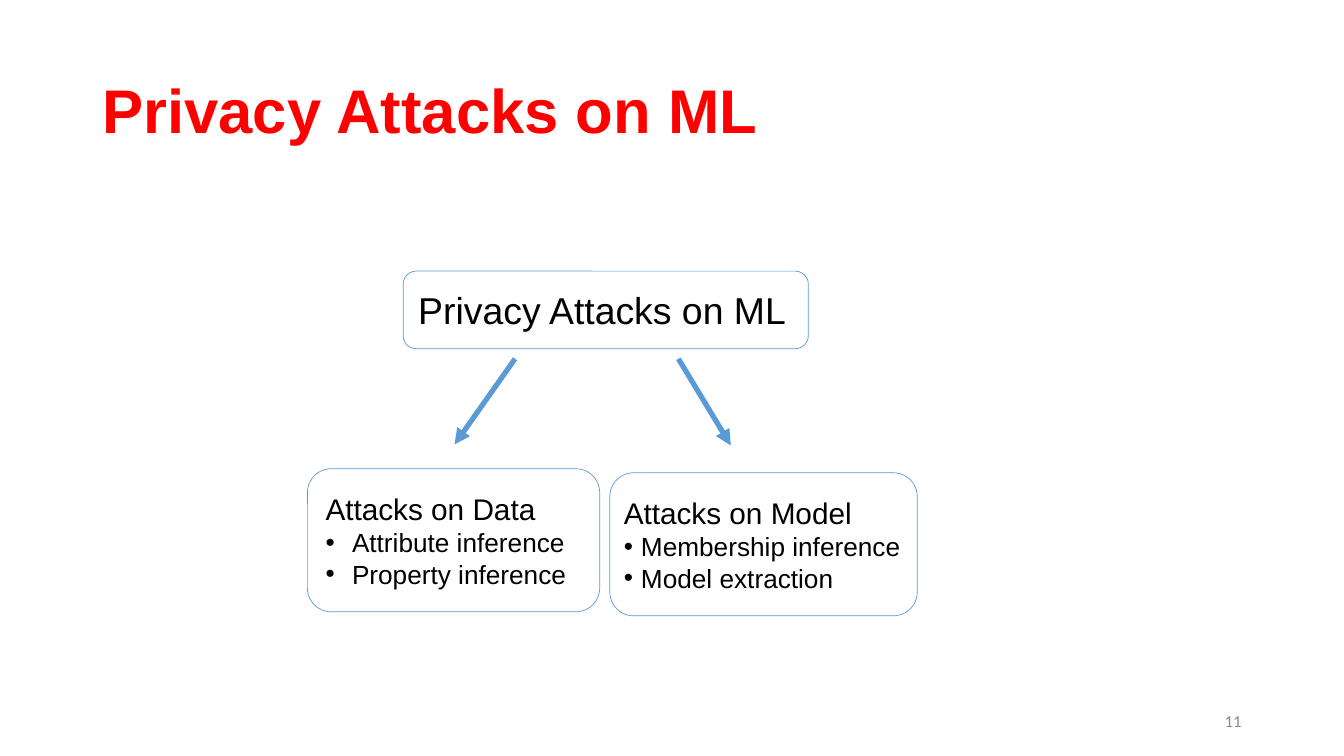
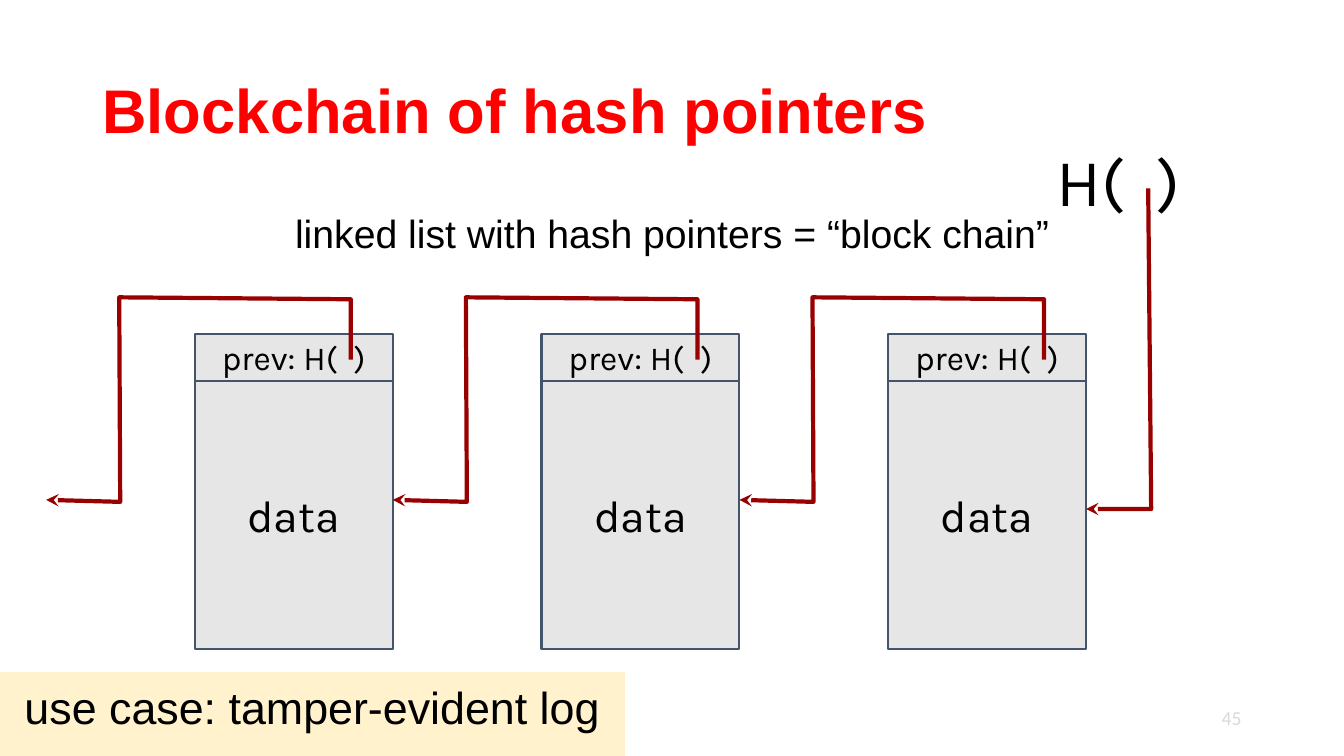
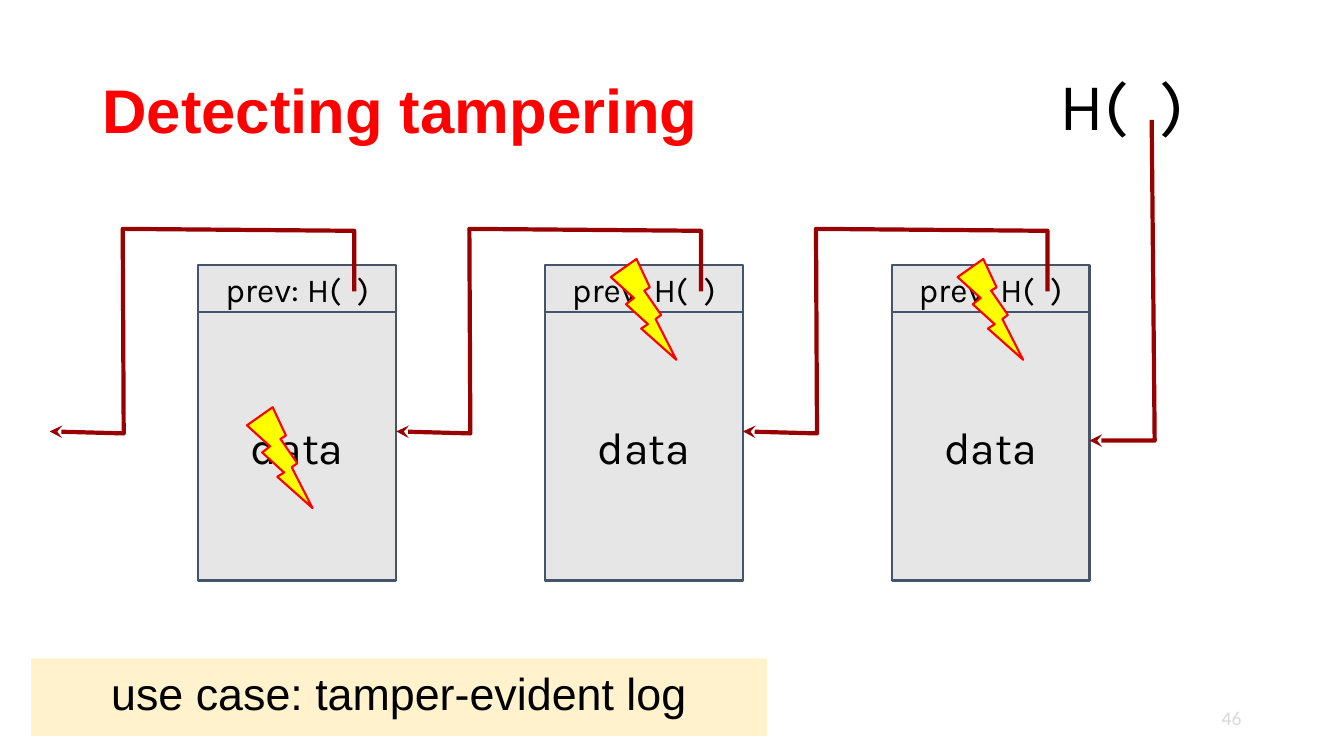
"""Build three slides on privacy attacks and hash-pointer block chains."""
from lxml import etree
from pptx import Presentation
from pptx.dml.color import RGBColor
from pptx.enum import shapes, text
from pptx.oxml import ns
from pptx.util import Pt

RED = RGBColor(0xFF, 0x00, 0x00)
BLACK = RGBColor(0x00, 0x00, 0x00)
GREY = RGBColor(0x8C, 0x8C, 0x8C)
PALE_GREY = RGBColor(0xD9, 0xD9, 0xD9)
BLUE = RGBColor(0x5B, 0x9B, 0xD5)
CREAM = RGBColor(0xFF, 0xF2, 0xCC)
BLOCK_FILL = RGBColor(0xE7, 0xE6, 0xE6)
BLOCK_LINE = RGBColor(0x44, 0x54, 0x6A)
DARK_RED = RGBColor(0x99, 0x00, 0x00)
YELLOW = RGBColor(0xFF, 0xFF, 0x00)

LEFT, CENTER, RIGHT = text.PP_ALIGN.LEFT, text.PP_ALIGN.CENTER, text.PP_ALIGN.RIGHT
TOP, MIDDLE = text.MSO_ANCHOR.TOP, text.MSO_ANCHOR.MIDDLE
RECTANGLE = shapes.MSO_SHAPE.RECTANGLE
INSET = 9.6
BLOCK_WIDTH, HEADER_HEIGHT, DATA_HEIGHT, BLOCK_PITCH = 141.4, 33.8, 191.5, 247.6


def write(frame, lines, font="Arial", color=BLACK, align=LEFT, anchor=TOP,
          insets=(INSET, INSET, INSET, INSET), hang=0, bold=False, spacing=None):
    """Fill a text frame with (text, size) lines, bulleting all but the first if hang is set."""
    frame.word_wrap = True
    frame.auto_size = text.MSO_AUTO_SIZE.NONE
    frame.vertical_anchor = anchor
    frame.margin_left, frame.margin_top, frame.margin_right, frame.margin_bottom = map(Pt, insets)
    for index, (words, size) in enumerate(lines):
        paragraph = frame.add_paragraph() if index else frame.paragraphs[0]
        paragraph.alignment = align
        if spacing:
            paragraph.line_spacing = spacing
        if index and hang:
            properties = paragraph._p.get_or_add_pPr()
            properties.set("marL", str(Pt(hang)))
            properties.set("indent", str(-Pt(hang)))
            etree.SubElement(properties, ns.qn("a:buFont")).set("typeface", "Arial")
            etree.SubElement(properties, ns.qn("a:buChar")).set("char", "•")
        run = paragraph.add_run()
        run.text = words
        run.font.name, run.font.size, run.font.bold = font, Pt(size), bold
        run.font.color.rgb = color


def outline(shape, color, width, arrow=None):
    """Set a line colour and width, an optional arrowhead at the end, and no shadow."""
    shape.line.color.rgb = color
    shape.line.width = Pt(width)
    properties = shape.element.spPr
    if arrow:
        etree.SubElement(properties.find(ns.qn("a:ln")), ns.qn("a:tailEnd")).set("type", arrow)
    etree.SubElement(properties, ns.qn("a:effectLst"))


deck = Presentation()
deck.slide_width, deck.slide_height = Pt(960), Pt(540)

slides = []
for title, number, number_size, number_color, number_anchor in (
    ("Privacy Attacks on ML", "11", 12, GREY, MIDDLE),
    ("Blockchain of hash pointers", "45", 14, PALE_GREY, TOP),
    ("Detecting tampering", "46", 14, PALE_GREY, TOP),
):
    slide = deck.slides.add_slide(deck.slide_layouts[5])
    heading = slide.shapes.title
    heading.left, heading.top, heading.width, heading.height = Pt(66), Pt(28.8), Pt(828), Pt(104.4)
    write(heading.text_frame, [(title, 44)], color=RED, anchor=MIDDLE,
          insets=(7.2, 3.6, 7.2, 3.6), bold=True, spacing=0.9)
    page = slide.shapes.add_textbox(Pt(678), Pt(500.5), Pt(216), Pt(28.8))
    write(page.text_frame, [(number, number_size)], "Calibri", number_color, RIGHT,
          number_anchor, (7.2, 3.6, 7.2, 3.6))
    slides.append(slide)
attacks, chain, tampering = slides

for x, y, width, height, inset, hang, lines in (
    (288, 193.7, 289.4, 55.4, 8, 0, [("Privacy Attacks on ML", 26.7)]),
    (219.6, 334.8, 208.8, 102.2, 8, 18.9,
     [("Attacks on Data", 21.3), ("Attribute inference", 18.7), ("Property inference", 18.7)]),
    (435.6, 337.7, 219.6, 102.2, 5, 12.3,
     [("Attacks on Model", 21.3), ("Membership inference", 18.7), ("Model extraction", 18.7)]),
):
    attack = attacks.shapes.add_shape(shapes.MSO_SHAPE.ROUNDED_RECTANGLE,
                                      Pt(x), Pt(y), Pt(width), Pt(height))
    attack.fill.background()
    outline(attack, BLUE, 0.5)
    write(attack.text_frame, lines, anchor=MIDDLE, insets=(inset, 0, 0, 0), hang=hang)

for start_x, end_x, end_y in ((367.9, 324.7, 317.5), (484.6, 522, 318.2)):
    branch = attacks.shapes.add_connector(shapes.MSO_CONNECTOR.STRAIGHT, Pt(start_x), Pt(256.3),
                                          Pt(end_x), Pt(end_y))
    outline(branch, BLUE, 3.75, "triangle")

subtitle = chain.shapes.add_textbox(Pt(66), Pt(144), Pt(828), Pt(54))
write(subtitle.text_frame, [("linked list with hash pointers = “block chain”", 28)],
      align=CENTER, spacing=0.9)

for slide, first_x, top, hash_top, use_case_area in (
    (chain, 139.2, 238.3, 90, (0, 480.2, 446.4, 59.8)),
    (tampering, 141.7, 189.4, 35.3, (22.3, 470.2, 525.6, 55.4)),
):
    use_case = slide.shapes.add_shape(RECTANGLE, *map(Pt, use_case_area))
    use_case.shadow.inherit = False
    use_case.fill.solid()
    use_case.fill.fore_color.rgb = CREAM
    use_case.line.fill.background()
    write(use_case.text_frame, [("use case: tamper-evident log", 32)], align=CENTER, spacing=0.9)

    block_lefts = [first_x + BLOCK_PITCH * position for position in range(3)]
    for x in block_lefts:
        for y, height, label, size in (
            (top + HEADER_HEIGHT, DATA_HEIGHT, "data", 32),
            (top, HEADER_HEIGHT, "prev: H(  )", 24),
        ):
            part = slide.shapes.add_shape(RECTANGLE, Pt(x), Pt(y), Pt(BLOCK_WIDTH), Pt(height))
            part.fill.solid()
            part.fill.fore_color.rgb = BLOCK_FILL
            outline(part, BLOCK_LINE, 1.5)
            write(part.text_frame, [(label, size)], "Karla", align=CENTER, anchor=MIDDLE)

    last_x = block_lefts[-1]
    head_hash = slide.shapes.add_textbox(Pt(last_x + 110.6), Pt(hash_top), Pt(148.3), Pt(48.2))
    write(head_hash.text_frame, [("H(  )", 48)], "Karla")

    previous_route = [(111.4, 18.7), (111.4, -24.5), (-54, -25.9), (-53.3, 120.2),
                      (BLOCK_WIDTH - BLOCK_PITCH, 118.8)]
    head_route = [(185.8, -103.7), (187.9, 125.3), (BLOCK_WIDTH, 125.3)]
    for x, route in [(x, previous_route) for x in block_lefts] + [(last_x, head_route)]:
        corners = [(Pt(x + dx), Pt(top + dy)) for dx, dy in route]
        builder = slide.shapes.build_freeform(*corners[0])
        builder.add_line_segments(corners[1:], close=False)
        pointer = builder.convert_to_shape()
        pointer.fill.background()
        outline(pointer, DARK_RED, 3, "stealth")

for x, y in ((176.4, 290.9), (436.3, 185), (684, 185)):
    bolt = tampering.shapes.add_shape(shapes.MSO_SHAPE.LIGHTNING_BOLT, Pt(x), Pt(y), Pt(46.8), Pt(72))
    bolt.fill.solid()
    bolt.fill.fore_color.rgb = YELLOW
    outline(bolt, RED, 1.5)

deck.save("out.pptx")
